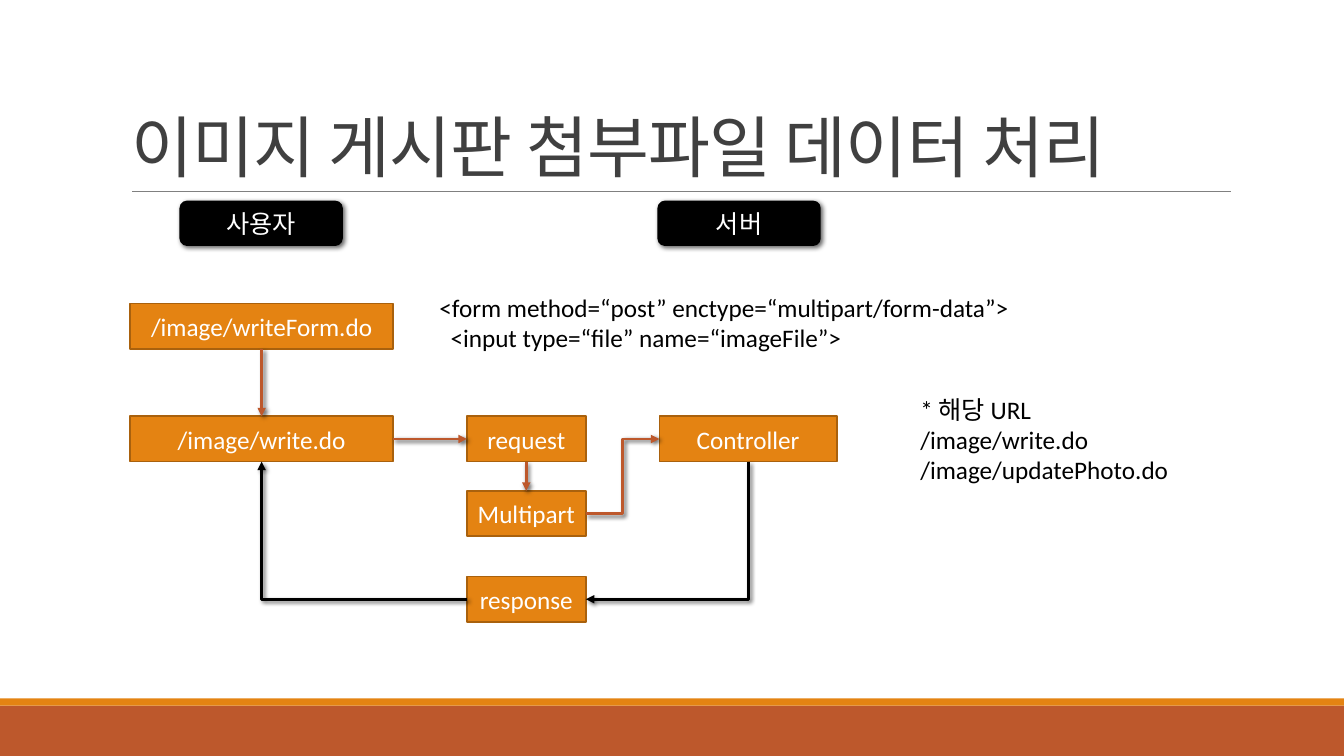
"""Build the slide on handling attached files in an image board."""
from lxml import etree
from pptx import Presentation, util as u
from pptx.dml import color
from pptx.enum import shapes, text
from pptx.oxml import ns

TOP, LEFT, BOTTOM, RIGHT = range(4)
BLACK, WHITE, ORANGE, RUST = "000000", "FFFFFF", "E48312", "BD582C"


def rgb(value):
    """Turn a hex string into a colour."""
    return color.RGBColor.from_string(value)


def child(parent, tag, **attributes):
    """Append a DrawingML element and return it."""
    return etree.SubElement(parent, ns.qn("a:" + tag), attributes)


class Board:
    """Hold the style and the current slide."""

    font = "Calibri"
    size = 18

    def __init__(self, slide):
        """Keep the slide to draw on."""
        self.slide = slide

    def add_words(self, paragraph, words, hue, size=None):
        """Add one styled run to a paragraph."""
        run = paragraph.add_run()
        run.text = words
        run.font.name = self.font
        run.font.size = u.Pt(size or self.size)
        run.font.color.rgb = rgb(hue)
        return run

    def shadow(self, effects, blur):
        """Add a soft shadow to the lower right."""
        outer = child(effects, "outerShdw", blurRad=str(u.Pt(blur)), dist=str(u.Pt(2)),
                      dir="2700000", algn="tl", rotWithShape="0")
        child(child(outer, "srgbClr", val=BLACK), "alpha", val="60000")

    def title(self, words):
        """Place and fill the title."""
        heading = self.slide.shapes.title
        heading.left, heading.top = u.Inches(1.2), u.Inches(0.31)
        heading.width, heading.height = u.Inches(11), u.Inches(1.59)
        frame = heading.text_frame
        frame.auto_size = text.MSO_AUTO_SIZE.NONE
        frame.vertical_anchor = text.MSO_ANCHOR.BOTTOM
        line = frame.paragraphs[0]
        line.alignment = text.PP_ALIGN.LEFT
        line.line_spacing = 0.85
        run = self.add_words(line, words, "404040", 48)
        run.font._element.set("spc", "-50")

    def block(self, x, y, w, h, fill, outline=None, words="", rounded=False):
        """Draw a filled block with an optional centred label."""
        kind = shapes.MSO_SHAPE.ROUNDED_RECTANGLE if rounded else shapes.MSO_SHAPE.RECTANGLE
        block = self.slide.shapes.add_shape(kind, *map(u.Inches, (x, y, w, h)))
        block.shadow.inherit = False
        block.fill.solid()
        block.fill.fore_color.rgb = rgb(fill)
        if outline:
            block.line.color.rgb = rgb(outline)
            block.line.width = u.Pt(1.25)
        else:
            block.line.fill.background()
        if words:
            frame = block.text_frame
            frame.margin_left = frame.margin_right = u.Inches(0.05)
            frame.vertical_anchor = text.MSO_ANCHOR.MIDDLE
            frame.paragraphs[0].alignment = text.PP_ALIGN.CENTER
            self.add_words(frame.paragraphs[0], words, WHITE)
        return block

    def role(self, x, words):
        """Draw a black heading for one side of the exchange."""
        role = self.block(x, 1.99, 1.62, 0.45, BLACK, words=words, rounded=True)
        self.shadow(role._element.spPr.find(ns.qn("a:effectLst")), 3.5)

    def step(self, x, y, w, words):
        """Draw one step of the request flow."""
        return self.block(x, y, w, 0.45, ORANGE, "A9610D", words)

    def line(self, kind, ends, hue, width):
        """Draw a connector and return it with its empty effect list."""
        line = self.slide.shapes.add_connector(kind, *ends)
        line.line.color.rgb = rgb(hue)
        line.line.width = u.Pt(width)
        return line, child(line._element.spPr, "effectLst")

    def arrow(self, kind, ends, hue):
        """Draw a shadowed connector with an arrowhead."""
        arrow, effects = self.line(kind, ends, hue, 2)
        child(arrow.line._get_or_add_ln(), "tailEnd", type="triangle")
        self.shadow(effects, 3)
        return arrow

    def straight(self, source, source_side, target, target_side):
        """Join two steps by a straight arrow."""
        arrow = self.arrow(shapes.MSO_CONNECTOR.STRAIGHT, (0, 0, 0, 0), RUST)
        arrow.begin_connect(source, source_side)
        arrow.end_connect(target, target_side)

    def corner(self, start, end, turn):
        """Draw an arrow with one corner, turned by 90 or 180 degrees."""
        (x1, y1), (x2, y2) = start, end
        w, h = abs(x2 - x1), abs(y2 - y1)
        if turn == 90:
            w, h = h, w
        x, y = (x1 + x2 - w) // 2, (y1 + y2 - h) // 2
        arrow = self.arrow(shapes.MSO_CONNECTOR.ELBOW, (x, y, x + w, y + h), BLACK)
        properties = arrow._element.spPr
        properties.find(ns.qn("a:prstGeom")).set("prst", "bentConnector2")
        properties.find(ns.qn("a:xfrm")).set("rot", str(turn * 60000))

    def note(self, x, y, w, h, lines):
        """Set lines of text, each with its own indent in inches."""
        frame = self.slide.shapes.add_textbox(*map(u.Inches, (x, y, w, h))).text_frame
        frame.word_wrap = False
        frame.auto_size = text.MSO_AUTO_SIZE.SHAPE_TO_FIT_TEXT
        for index, (words, indent) in enumerate(lines):
            line = frame.add_paragraph() if index else frame.paragraphs[0]
            if indent:
                line._p.get_or_add_pPr().set("marL", str(u.Inches(indent)))
            self.add_words(line, words, BLACK)


def side(step, place):
    """Return the middle of one side of a step."""
    x, y = step.left + step.width // 2, step.top + step.height // 2
    return {TOP: (x, step.top), LEFT: (step.left, y),
            BOTTOM: (x, step.top + step.height), RIGHT: (step.left + step.width, y)}[place]


def main():
    """Build and save the slide."""
    deck = Presentation()
    deck.slide_width, deck.slide_height = u.Inches(13.33), u.Inches(7.5)
    board = Board(deck.slides.add_slide(deck.slide_layouts[5]))

    board.block(0, 7, 13.33, 0.5, RUST)
    board.block(0, 6.93, 13.33, 0.07, ORANGE)
    board.line(shapes.MSO_CONNECTOR.STRAIGHT, map(u.Inches, (1.31, 1.9, 12.21, 1.9)), "808080", 0.5)
    board.title("이미지 게시판 첨부파일 데이터 처리")
    board.role(1.78, "사용자")
    board.role(6.52, "서버")

    form_page = board.step(1.29, 3.01, 2.61, "/image/writeForm.do")
    write_page = board.step(1.29, 4.13, 2.61, "/image/write.do")
    request = board.step(4.63, 4.13, 1.18, "request")
    multipart = board.step(4.63, 4.87, 1.18, "Multipart")
    response = board.step(4.63, 5.72, 1.18, "response")
    controller = board.step(6.54, 4.13, 1.76, "Controller")

    board.straight(form_page, BOTTOM, write_page, TOP)
    board.straight(write_page, RIGHT, request, LEFT)
    board.straight(request, BOTTOM, multipart, TOP)
    board.arrow(shapes.MSO_CONNECTOR.ELBOW, side(multipart, RIGHT) + side(controller, LEFT), RUST)
    board.corner(side(controller, BOTTOM), side(response, RIGHT), 90)
    board.corner(side(response, LEFT), side(write_page, BOTTOM), 180)

    board.note(4.26, 2.85, 5.91, 0.71, [
        ("<form method=“post” enctype=“multipart/form-data”>", 0),
        ("<input type=“file” name=“imageFile”>", 0.11)])
    board.note(9.03, 3.86, 2.69, 1.01, [
        ("* 해당 URL", 0), ("/image/write.do", 0), ("/image/updatePhoto.do", 0)])
    deck.save("out.pptx")


if __name__ == "__main__":
    main()
